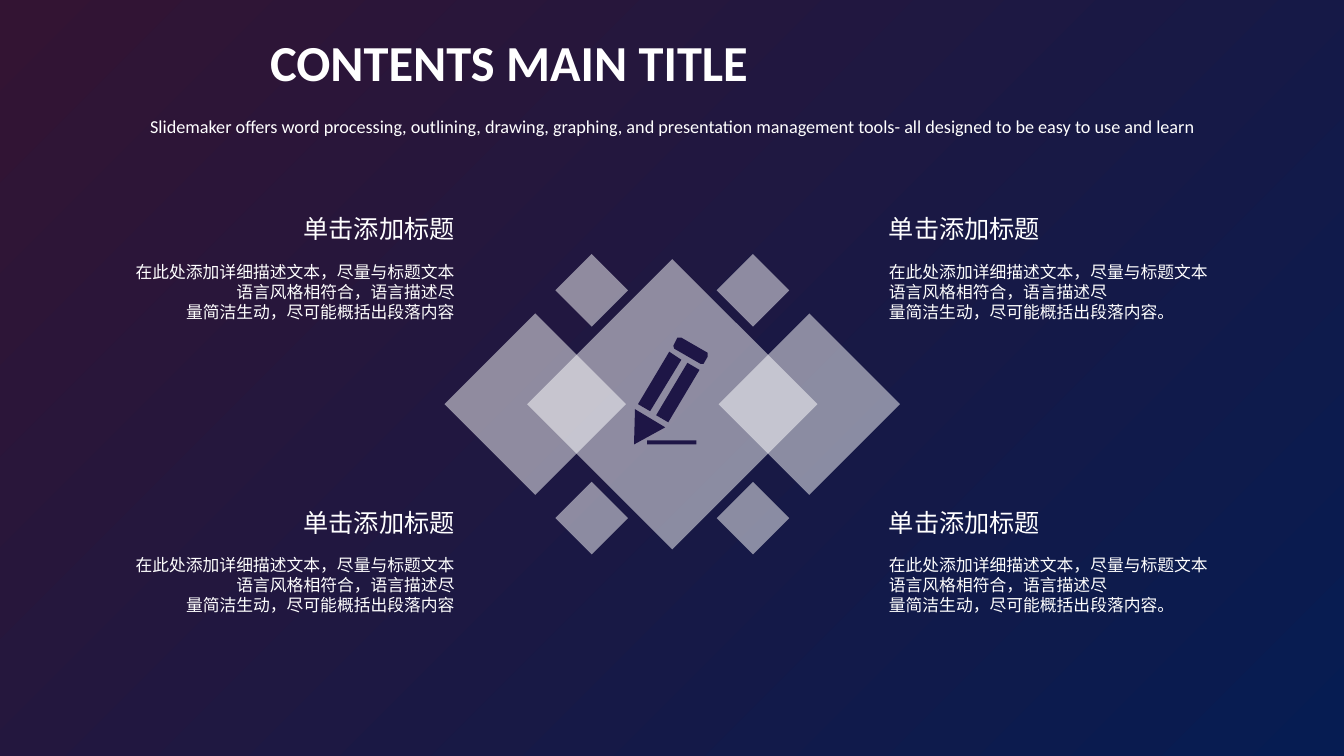
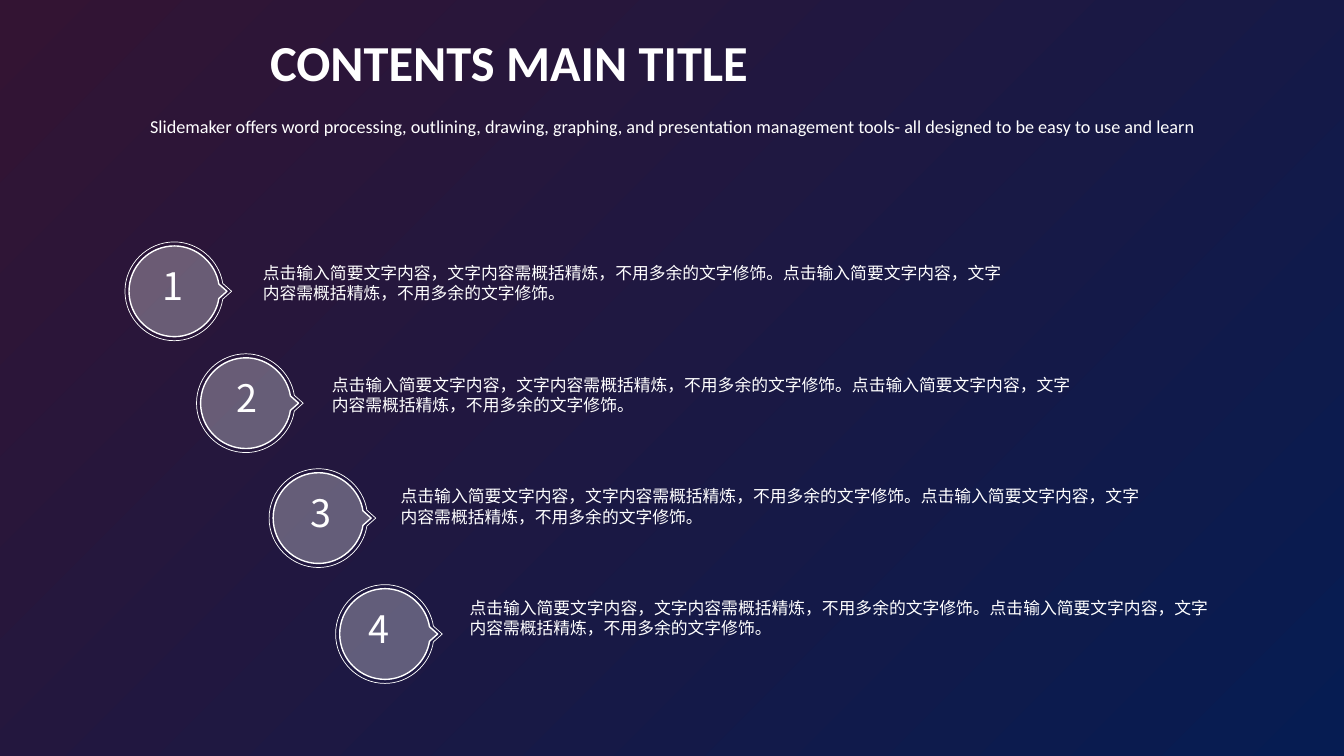
from lxml.etree import SubElement
from pptx import Presentation
from pptx.dml.color import RGBColor
from pptx.enum.shapes import MSO_SHAPE as SHAPE
from pptx.enum.text import MSO_ANCHOR as ANCHOR, MSO_AUTO_SIZE as AUTO_SIZE, PP_ALIGN as ALIGN
from pptx.oxml.ns import qn
from pptx.util import Inches, Pt

COLORS = {"plum": "331433", "navy": "061C52", "white": "FFFFFF",
          "soft": "FEFEFE", "pencil": "1E1646"}
LATIN, CHINESE = "Calibri", "Noto Sans CJK SC"
LINE_HEIGHT = 14.4


def write(frame, text, size=12, font=CHINESE, color="white", bold=False,
          align=ALIGN.LEFT, spacing=None, before=0):
    """Add one formatted paragraph, filling the empty first one if there is one."""
    para = frame.paragraphs[0] if not frame.text else frame.add_paragraph()
    para.alignment = align
    para.space_before = Pt(before)
    if spacing:
        para.line_spacing = Pt(spacing)
    span = para.add_run()
    span.text = text
    span.font.size = Pt(size)
    span.font.bold = bold
    span.font.color.rgb = RGBColor.from_string(COLORS[color])
    span.font.name = font
    SubElement(span.font._element, qn("a:ea"), typeface=font)


def paint(shape, color=None, opacity=100, line=None):
    """Fill and outline a shape; line is a width in points."""
    shape.shadow.inherit = False
    if color:
        shape.fill.solid()
        shape.fill.fore_color.rgb = RGBColor.from_string(COLORS[color])
        if opacity < 100:
            tint = shape.fill._xPr.find(qn("a:solidFill"))[0]
            SubElement(tint, qn("a:alpha"), val=str(opacity * 1000))
    else:
        shape.fill.background()
    if line:
        shape.line.color.rgb = RGBColor.from_string(COLORS["white"])
        shape.line.width = Pt(line)
    else:
        shape.line.fill.background()


deck = Presentation()
deck.slide_width, deck.slide_height = Inches(40 / 3), Inches(7.5)

# Shared background
backdrop = deck.slide_master.background.fill
backdrop.gradient()
backdrop.gradient_angle = 315
for stop, color in zip(backdrop.gradient_stops, ("plum", "navy")):
    stop.color.rgb = RGBColor.from_string(COLORS[color])

# Shared title and subtitle
HEADER = [
    ((2.58, 0.26, 8.17, 0.71), "CONTENTS MAIN TITLE",
     dict(size=36, bold=True, align=ALIGN.JUSTIFY)),
    ((0.68, 1.09, 11.97, 0.32),
     "Slidemaker offers word processing, outlining, drawing, graphing, and "
     "presentation management tools- all designed to be easy to use and learn",
     dict(size=13, align=ALIGN.CENTER)),
]
pages = [deck.slides.add_slide(deck.slide_layouts[0]) for _ in range(2)]
for page in pages:
    for holder, (place, text, style) in zip(page.placeholders, HEADER):
        holder.left, holder.top, holder.width, holder.height = map(Inches, place)
        frame = holder.text_frame
        frame.auto_size = AUTO_SIZE.NONE
        frame.vertical_anchor = ANCHOR.TOP
        write(frame, text, font=LATIN, **style)
diamond_page, steps_page = pages

# Diamonds: two at the sides, four small ones, one large in the middle
CENTER_X, CENTER_Y = 6.67, 4.01
diamonds = [(dx, 0, 1.8) for dx in (1.36, -1.36)]
diamonds += [(dx, dy, 0.72) for dx in (-0.8, 0.8) for dy in (-1.13, 1.13)]
diamonds.append((0, 0, 2.88))
for dx, dy, size in diamonds:
    diamond = diamond_page.shapes.add_shape(
        SHAPE.DIAMOND, Inches(CENTER_X + dx - size / 2), Inches(CENTER_Y + dy - size / 2),
        Inches(size), Inches(size))
    paint(diamond, "white", opacity=50)

# Four text blocks around the diamonds
for left, align, ending in ((0.9, ALIGN.RIGHT, ""), (8.72, ALIGN.LEFT, "。")):
    for top in (2.07, 4.98):
        box = diamond_page.shapes.add_textbox(
            Inches(left), Inches(top), Inches(3.71), Inches(1.55))
        frame = box.text_frame
        frame.word_wrap = True
        write(frame, "单击添加标题", size=18, align=align, spacing=21.6)
        lines = ("在此处添加详细描述文本，尽量与标题文本", "语言风格相符合，语言描述尽",
                 "量简洁生动，尽可能概括出段落内容" + ending)
        for index, text in enumerate(lines):
            write(frame, text, color="soft", align=align, spacing=LINE_HEIGHT,
                  before=0 if index else 12.6)

# Pencil icon: underline, tip, two body strips, eraser
PENCIL = [
    [(6.42, 4.37), (6.91, 4.37), (6.91, 4.41), (6.42, 4.41)],
    [(6.3, 4.06), (6.6, 4.24), (6.29, 4.41)],
    [(6.82, 3.6), (6.94, 3.67), (6.63, 4.19), (6.51, 4.12)],
    [(6.64, 3.49), (6.76, 3.57), (6.45, 4.08), (6.33, 4.01)],
    [(6.76, 3.35), (7.02, 3.5), (7.02, 3.54), (6.98, 3.61),
     (6.95, 3.61), (6.69, 3.46), (6.68, 3.43), (6.72, 3.35)],
]
builder = diamond_page.shapes.build_freeform(*map(Inches, PENCIL[0][0]))
for index, outline in enumerate(PENCIL):
    points = [(Inches(x), Inches(y)) for x, y in outline]
    if index:
        builder.move_to(*points[0])
    builder.add_line_segments(points[1:], close=True)
paint(builder.convert_to_shape(), "pencil")

# Pin outline in radii: two curves, the tip, then the same mirrored
UPPER = [(-1, 0), (-1, -0.55), (-0.55, -1), (0, -1),
         (0.49, -1), (0.91, -0.62), (0.98, -0.16)]
PIN = UPPER + [(1.16, 0)] + [(x, -y) for x, y in reversed(UPPER)]
CURVE_STARTS = (0, 3, 8, 11)

# Numbered pins: a filled one inside an outlined one, pointing right
PINS = [(1.73, 2.89, 1.51), (2.44, 4.0, 2.25), (3.16, 5.14, 2.98), (3.82, 6.29, 3.56)]
RINGS = [(0.45, dict(color="white", opacity=30, line=1)), (0.49, dict(line=0.5))]
STEP_TEXT = "点击输入简要文字内容，文字内容需概括精炼，不用多余的文字修饰。" * 2
STEP_X, STEP_Y = (4.56 - 2.51) / 3, (5.88 - 2.56) / 3
for index, (x, y, number_left) in enumerate(PINS):
    for radius, style in RINGS:
        points = [(Inches(x + radius * px), Inches(y + radius * py)) for px, py in PIN]
        builder = steps_page.shapes.build_freeform(*points[0])
        builder.add_line_segments(points[1:], close=True)
        pin = builder.convert_to_shape()
        segments = list(pin._element.iter(qn("a:lnTo")))
        for start in CURVE_STARTS:
            curve, *rest = segments[start:start + 3]
            curve.tag = qn("a:cubicBezTo")
            for segment in rest:
                curve.append(segment[0])
                segment.getparent().remove(segment)
        paint(pin, **style)

    number = steps_page.shapes.add_textbox(
        Inches(number_left), Inches(y - 0.34), Inches(0.5), Inches(0.71))
    number.text_frame.word_wrap = True
    write(number.text_frame, str(index + 1), size=27, spacing=33)

    box = steps_page.shapes.add_textbox(
        Inches(2.51 + STEP_X * index), Inches(2.56 + STEP_Y * index),
        Inches(7.6), Inches(0.64))
    box.text_frame.word_wrap = True
    write(box.text_frame, STEP_TEXT, spacing=LINE_HEIGHT)

deck.save("out.pptx")
